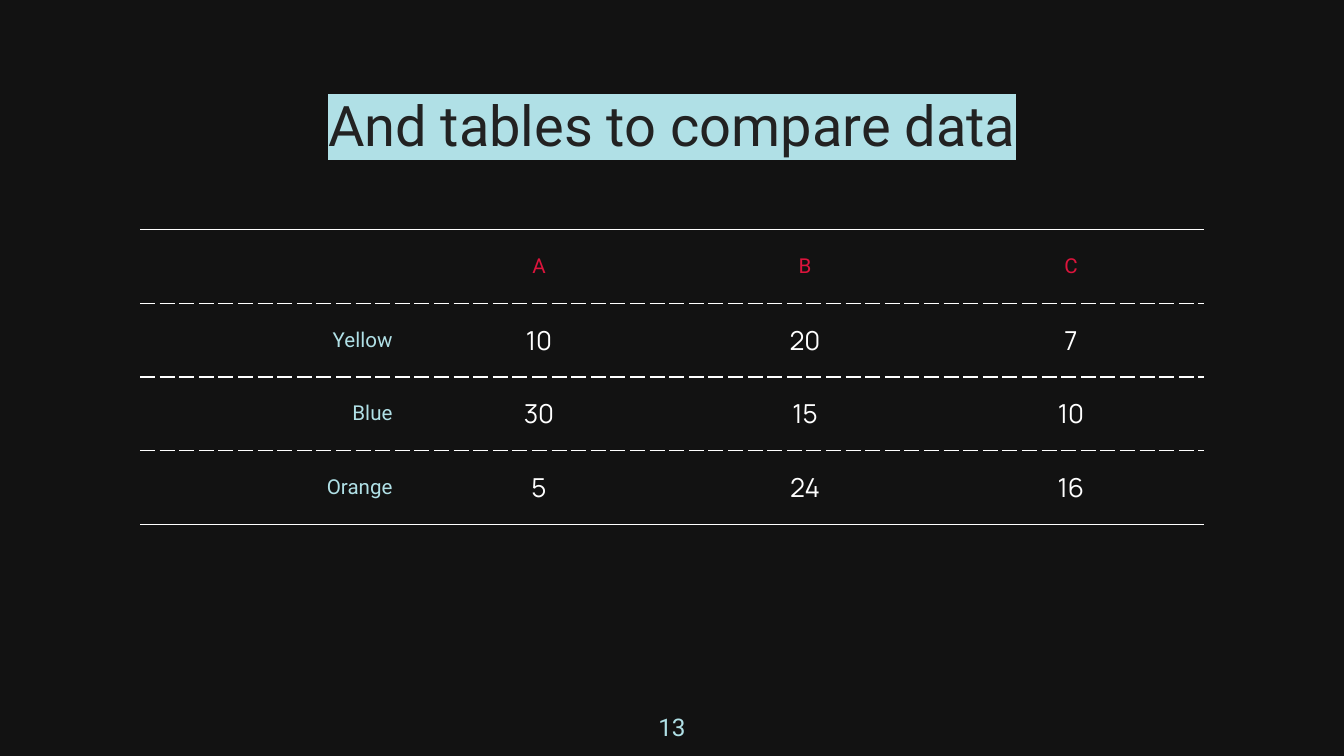
from lxml.etree import SubElement
from pptx import Presentation
from pptx.dml.color import RGBColor
from pptx.enum.shapes import MSO_SHAPE
from pptx.enum.text import MSO_ANCHOR, PP_ALIGN
from pptx.oxml import parse_xml
from pptx.oxml.ns import nsdecls, qn
from pptx.util import Pt

COLORS = {
    "background": "222222",
    "shade": "000000",
    "accent": "B0E0E6",
    "header": "DC143C",
    "white": "FFFFFF",
}
SLIDE_WIDTH, SLIDE_HEIGHT = 720, 405
TABLE_ROWS = [
    ["", "A", "B", "C"],
    ["Yellow", "10", "20", "7"],
    ["Blue", "30", "15", "10"],
    ["Orange", "5", "24", "16"],
]


def color(name):
    return RGBColor.from_string(COLORS[name])


def write_text(text_frame, text, *, size, fill, font="Roboto",
               align=PP_ALIGN.CENTER, highlight=None):
    paragraph = text_frame.paragraphs[0]
    paragraph.alignment = align
    run = paragraph.add_run()
    run.text = text
    run.font.size = Pt(size)
    run.font.bold = False
    run.font.color.rgb = color(fill)
    if highlight:
        element = SubElement(run.font._element, qn("a:highlight"))
        SubElement(element, qn("a:srgbClr"), val=COLORS[highlight])
    run.font.name = font


def set_frame(text_frame, top_margin=7.2):
    text_frame.word_wrap = True
    text_frame.vertical_anchor = MSO_ANCHOR.TOP
    text_frame.margin_left = text_frame.margin_right = Pt(7.2)
    text_frame.margin_top, text_frame.margin_bottom = Pt(top_margin), Pt(7.2)


def set_borders(cell, top, bottom):
    """Give the cell a top and bottom line of the named dash styles."""
    lines = [parse_xml(f'<a:{side} {nsdecls("a")} w="0"><a:noFill/></a:{side}>')
             for side in ("lnL", "lnR")]
    for side, dash in (("lnT", top), ("lnB", bottom)):
        lines.append(parse_xml(
            f'<a:{side} {nsdecls("a")} w="{Pt(0.75)}"><a:solidFill>'
            f'<a:srgbClr val="{COLORS["white"]}"/></a:solidFill>'
            f'<a:prstDash val="{dash}"/></a:{side}>'))
    properties = cell._tc.get_or_add_tcPr()
    for index, line in enumerate(lines):
        properties.insert(index, line)


def add_background(slide, left, top, width, height):
    slide.background.fill.solid()
    slide.background.fill.fore_color.rgb = color("background")
    shade = slide.shapes.add_shape(
        MSO_SHAPE.RECTANGLE, Pt(left), Pt(top), Pt(width), Pt(height))
    shade.shadow.inherit = False
    shade.line.fill.background()
    shade.fill.solid()
    shade.fill.fore_color.rgb = color("shade")
    shade_color = shade._element.spPr.find(qn("a:solidFill"))[0]
    SubElement(shade_color, qn("a:alpha"), val="46000")
    # Behind the title placeholder
    slide.shapes._spTree.insert(2, shade._element)


def add_title(slide, left, top, width, height):
    title = slide.shapes.title
    title.left, title.top = Pt(left), Pt(top)
    title.width, title.height = Pt(width), Pt(height)
    set_frame(title.text_frame, top_margin=9.4)
    write_text(title.text_frame, "And tables to compare data",
               size=30, fill="background", highlight="accent")


def add_data_table(slide, left, top, width, height):
    row_count, column_count = len(TABLE_ROWS), len(TABLE_ROWS[0])
    table = slide.shapes.add_table(
        row_count, column_count, Pt(left), Pt(top), Pt(width), Pt(height)).table
    table.first_row = table.horz_banding = False
    for row_index, values in enumerate(TABLE_ROWS):
        for column_index, value in enumerate(values):
            cell = table.cell(row_index, column_index)
            cell.fill.background()
            set_borders(cell,
                        top="solid" if row_index == 0 else "dash",
                        bottom="solid" if row_index == row_count - 1 else "dash")
            cell.vertical_anchor = MSO_ANCHOR.MIDDLE
            cell.margin_left = cell.margin_right = Pt(7.2)
            cell.margin_top = cell.margin_bottom = Pt(5)
            if not value:
                continue
            if row_index == 0:
                style = {"size": 11, "fill": "header"}
            elif column_index == 0:
                style = {"size": 11, "fill": "accent", "align": PP_ALIGN.RIGHT}
            else:
                style = {"size": 14, "fill": "white", "font": "Manrope"}
            write_text(cell.text_frame, value, **style)


def add_page_number(slide, left, top, width, height):
    box = slide.shapes.add_textbox(Pt(left), Pt(top), Pt(width), Pt(height))
    set_frame(box.text_frame)
    write_text(box.text_frame, "13", size=13, fill="accent")


def main():
    presentation = Presentation()
    presentation.slide_width = Pt(SLIDE_WIDTH)
    presentation.slide_height = Pt(SLIDE_HEIGHT)
    slide = presentation.slides.add_slide(presentation.slide_layouts[5])

    add_background(slide, 0, 0, SLIDE_WIDTH, SLIDE_HEIGHT)
    add_title(slide, 36, 39, 648, 37)
    add_data_table(slide, 75, 123, 570, 158)
    add_page_number(slide, 338.4, 374.6, 43.2, 24.5)

    presentation.save("out.pptx")


if __name__ == "__main__":
    main()
